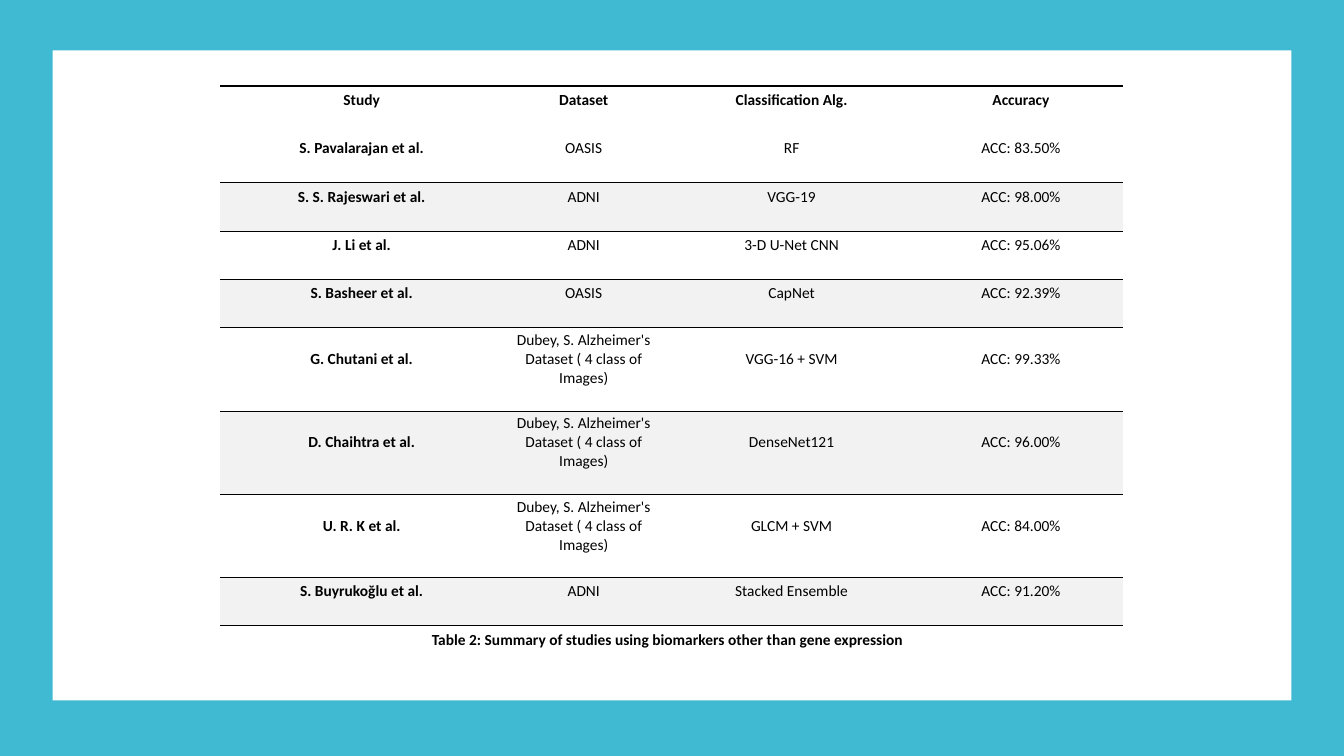
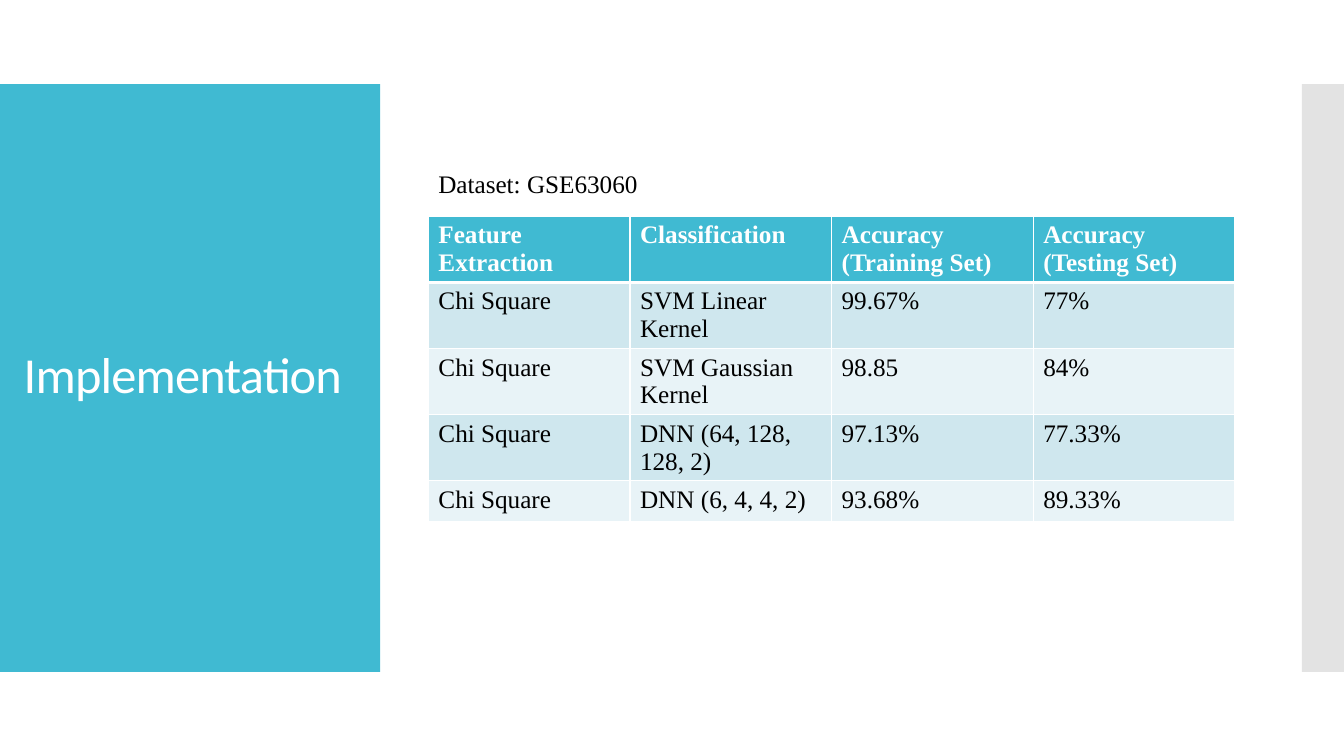
from dataclasses import dataclass

from lxml import etree
from pptx import Presentation, util as u
from pptx.dml.color import RGBColor
from pptx.enum import shapes, text
from pptx.oxml import ns

PX = 9525  # EMU in one px
SLIDE_W, SLIDE_H = 1280, 720
NO_GRID_STYLE = "{2D5ABB26-0587-4C30-8999-92F81FD0307C}"


@dataclass(frozen=True)
class Theme:
    accent: str = "40BAD2"
    side: str = "C8C8C8"
    white: str = "FFFFFF"
    black: str = "000000"
    stripe: str = "F2F2F2"
    band_dark: str = "CFE7EE"
    band_light: str = "E8F3F7"
    sans: str = "Calibri"
    serif: str = "Times New Roman"
    study_size: int = 11
    result_size: int = 18
    title_size: int = 36


THEME = Theme()

STUDIES_HEAD = ("Study", "Dataset", "Classification Alg.", "Accuracy")
DUBEY = "Dubey, S. Alzheimer's Dataset ( 4 class of Images)"
STUDIES = [
    ("S. Pavalarajan et al.", "OASIS", "RF", "ACC: 83.50%"),
    ("S. S. Rajeswari et al.", "ADNI", "VGG-19", "ACC: 98.00%"),
    ("J. Li et al.", "ADNI", "3-D U-Net CNN", "ACC: 95.06%"),
    ("S. Basheer et al.", "OASIS", "CapNet", "ACC: 92.39%"),
    ("G. Chutani et al.", DUBEY, "VGG-16 + SVM", "ACC: 99.33%"),
    ("D. Chaihtra et al.", DUBEY, "DenseNet121", "ACC: 96.00%"),
    ("U. R. K et al.", DUBEY, "GLCM + SVM", "ACC: 84.00%"),
    ("S. Buyrukoğlu et al.", "ADNI", "Stacked Ensemble", "ACC: 91.20%"),
]
STUDIES_CAPTION = "Table 2: Summary of studies using biomarkers other than gene expression"

RESULTS = [
    ("Feature Extraction", "Classification", "Accuracy (Training Set)", "Accuracy (Testing Set)"),
    ("Chi Square", "SVM Linear Kernel", "99.67%", "77%"),
    ("Chi Square", "SVM Gaussian Kernel", "98.85", "84%"),
    ("Chi Square", "DNN (64, 128, 128, 2)", "97.13%", "77.33%"),
    ("Chi Square", "DNN (6, 4, 4, 2)", "93.68%", "89.33%"),
]


def emu(*lengths):
    return [u.Emu(length * PX) for length in lengths]


def set_all(target, values):
    for name, value in values.items():
        setattr(target, name, value)


def set_font(font, name, size, color, bold=False):
    set_all(font, {"name": name, "size": u.Pt(size), "bold": bold})
    font.color.rgb = RGBColor.from_string(color)


def add_panel(slide, box, color, alpha=None):
    panel = slide.shapes.add_shape(shapes.MSO_SHAPE.RECTANGLE, *emu(*box))
    panel.shadow.inherit = False
    panel.fill.solid()
    panel.fill.fore_color.rgb = RGBColor.from_string(color)
    panel.line.fill.background()
    if alpha is not None:
        rgb = panel.element.spPr.find(".//" + ns.qn("a:srgbClr"))
        etree.SubElement(rgb, ns.qn("a:alpha"), val=str(alpha * 1000))
    return panel


def set_borders(cell, borders):
    """Draw cell borders given as {side letter: (colour, points)}."""
    props = cell._tc.get_or_add_tcPr()
    present = [side for side in "LRTB" if side in borders]
    for index, side in enumerate(present):
        color, points = borders[side]
        line = etree.Element(ns.qn("a:ln" + side), w=str(u.Pt(points)))
        fill = etree.SubElement(line, ns.qn("a:solidFill"))
        etree.SubElement(fill, ns.qn("a:srgbClr"), val=color)
        props.insert(index, line)


def add_grid(slide, left, top, widths, heights):
    """Add a table that has no style of its own."""
    frame = slide.shapes.add_table(
        len(heights), len(widths), *emu(left, top, sum(widths), sum(heights)))
    table = frame.table
    set_all(table, {"first_row": False, "horz_banding": False})
    table._tbl.tblPr.find(ns.qn("a:tableStyleId")).text = NO_GRID_STYLE
    for column, width in zip(table.columns, emu(*widths)):
        column.width = width
    for row, height in zip(table.rows, emu(*heights)):
        row.height = height
    return table


def fill_cell(cell, words, font, fill=None, borders=None, align=None):
    cell.text = words
    paragraph = cell.text_frame.paragraphs[0]
    paragraph.alignment = align
    set_font(paragraph.runs[0].font, **font)
    if fill:
        cell.fill.solid()
        cell.fill.fore_color.rgb = RGBColor.from_string(fill)
    else:
        cell.fill.background()
    set_borders(cell, borders or {})


def add_studies_table(slide, left, top):
    rows = [STUDIES_HEAD, *STUDIES, (STUDIES_CAPTION,)]
    heights = [79 if DUBEY in row else 46 for row in rows]
    table = add_grid(slide, left, top, (277, 146, 250, 187), heights)
    last = len(rows) - 1
    table.cell(last, 0).merge(table.cell(last, 3))
    margins = dict(zip(("margin_left", "margin_top", "margin_right", "margin_bottom"),
                       emu(0, 3, 8, 22)))
    for r, row in enumerate(rows):
        striped = r > 0 and r % 2 == 0
        borders = {}
        if r == 0 or striped:
            borders["T"] = (THEME.black, 0.5 if striped else 2.25)
        for c, words in enumerate(row):
            cell = table.cell(r, c)
            font = {"name": THEME.sans, "size": THEME.study_size,
                    "color": THEME.black, "bold": r == 0 or c == 0}
            fill_cell(cell, words, font, THEME.stripe if striped else None,
                      borders, text.PP_ALIGN.CENTER)
            set_all(cell, {**margins, "vertical_anchor": text.MSO_ANCHOR.MIDDLE})


def add_results_table(slide, left, top):
    table = add_grid(slide, left, top, [192] * 4, [63] * 4 + [39])
    for r, row in enumerate(RESULTS):
        head = r == 0
        fill = THEME.accent if head else (THEME.band_light, THEME.band_dark)[r % 2]
        font = {"name": THEME.serif, "size": THEME.result_size,
                "color": THEME.white if head else THEME.black, "bold": head}
        borders = {side: (THEME.white, 1) for side in "LRTB"}
        if r < 2:
            borders["B" if head else "T"] = (THEME.white, 3)
        for c, words in enumerate(row):
            fill_cell(table.cell(r, c), words, font, fill, borders)


def add_dataset_label(slide, box):
    frame = slide.shapes.add_textbox(*emu(*box)).text_frame
    set_all(frame, {"word_wrap": False, "text": "Dataset: GSE63060"})
    set_font(frame.paragraphs[0].runs[0].font, THEME.serif, THEME.result_size, THEME.black)


def set_title(slide, words, box):
    title = slide.shapes.title
    set_all(title, dict(zip(("left", "top", "width", "height"), emu(*box))))
    frame = title.text_frame
    set_all(frame, {"text": words, "word_wrap": True,
                    "vertical_anchor": text.MSO_ANCHOR.MIDDLE})
    paragraph = frame.paragraphs[0]
    set_all(paragraph, {"alignment": text.PP_ALIGN.LEFT, "line_spacing": 0.9})
    run = paragraph.runs[0]
    set_font(run.font, THEME.sans, THEME.title_size, THEME.white)
    run.font._element.set("spc", "-60")


def move_to_layout(slide, panels):
    """Put panels behind everything on the slide's layout."""
    tree = slide.slide_layout.shapes.element
    for panel in panels:
        tree.insert(2, panel.element)


def build_studies_slide(prs):
    slide = prs.slides.add_slide(prs.slide_layouts[6])
    add_panel(slide, (0, 0, SLIDE_W, SLIDE_H), THEME.accent)
    add_panel(slide, (50, 48, 1180, 619), THEME.white)
    add_studies_table(slide, 210, 82)


def build_implementation_slide(prs):
    slide = prs.slides.add_slide(prs.slide_layouts[5])
    move_to_layout(slide, [
        add_panel(slide, (0, 80, 362, 560), THEME.accent),
        add_panel(slide, (1240, 80, 40, 560), THEME.side, alpha=50),
    ])
    set_title(slide, "Implementation", (13, 118, 331, 483))
    add_results_table(slide, 408, 206)
    add_dataset_label(slide, (408, 156, 213, 38))


def main():
    prs = Presentation()
    prs.slide_width, prs.slide_height = emu(SLIDE_W, SLIDE_H)
    build_studies_slide(prs)
    build_implementation_slide(prs)
    prs.save("out.pptx")


if __name__ == "__main__":
    main()
